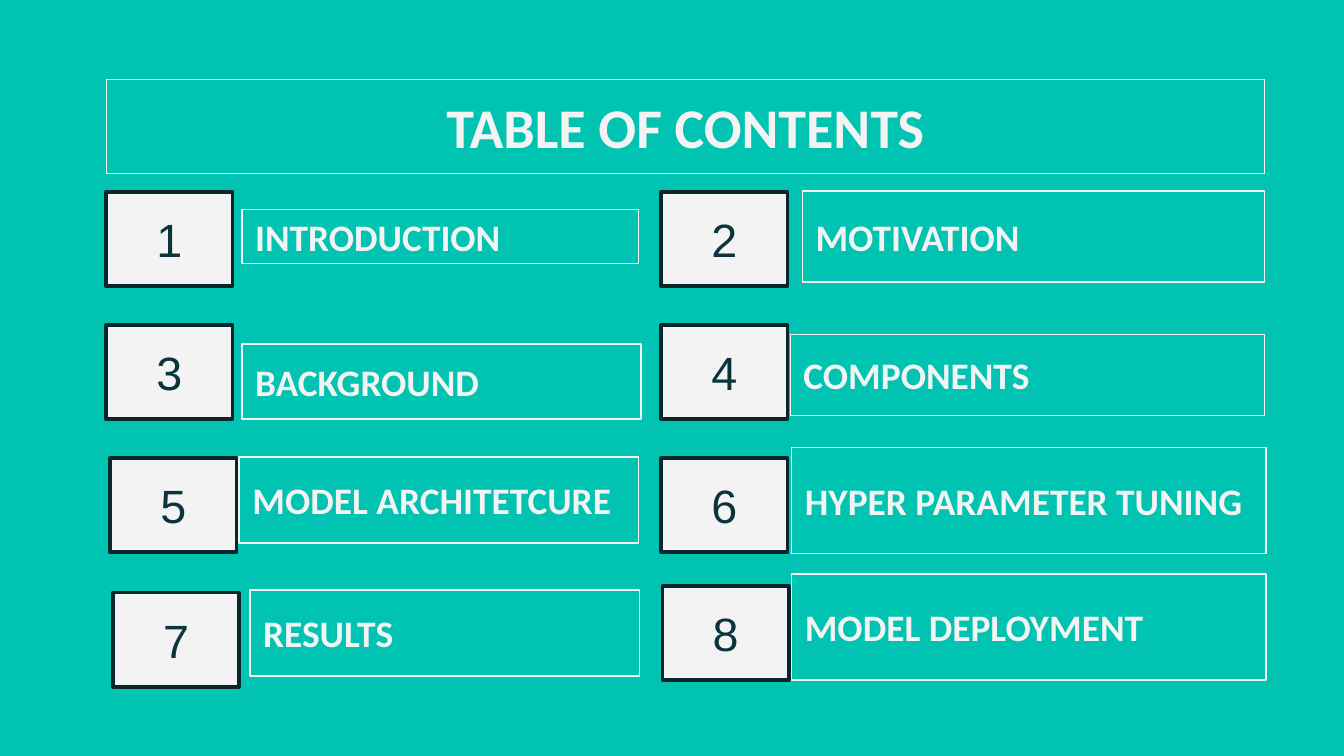
from pptx import Presentation
from pptx import util as u
from pptx.dml import color as c
from pptx.enum import shapes, text

HUES = {"back": "00C3B1", "pale": "F3F3F3", "edge": "09262D", "ink": "0C343D"}
SIZE = (u.Inches(10), u.Inches(10) * 9 // 16)
TILE = (0.94, 0.7)
COLS = (0.79, 4.92)
TOP, STEP = 1.43, 0.99
ITEMS = [
    ("INTRODUCTION", (0, 0), (1.01, 0.13, 2.95, 0.4)),
    ("MOTIVATION", (0, 0), (1.05, -0.01, 3.44, 0.68)),
    ("BACKGROUND", (0, 0), (1.01, 0.14, 2.97, 0.56)),
    ("COMPONENTS", (0, 0), (0.96, 0.07, 3.53, 0.6)),
    ("MODEL ARCHITETCURE", (0.03, 0), (0.99, -0.01, 2.97, 0.64)),
    ("HYPER PARAMETER TUNING", (0, 0), (0.97, -0.08, 3.53, 0.79)),
    ("RESULTS", (0.05, 0.01), (1.07, -0.01, 2.9, 0.64)),
    ("MODEL DEPLOYMENT", (0.01, -0.04), (0.97, -0.13, 3.53, 0.79)),
]


def hue(name):
    return c.RGBColor.from_string(HUES[name])


def add_box(slide, box, edge="pale", width=0.75, fill=None):
    shape = slide.shapes.add_shape(
        shapes.MSO_SHAPE.RECTANGLE, *(u.Inches(v) for v in box))
    shape.shadow.inherit = False
    if fill:
        shape.fill.solid()
        shape.fill.fore_color.rgb = hue(fill)
    else:
        shape.fill.background()
    shape.line.color.rgb = hue(edge)
    shape.line.width = u.Pt(width)
    return shape


def put_text(shape, words, size, font="Calibri", tint="pale", bold=True,
             align=text.PP_ALIGN.LEFT, anchor=text.MSO_ANCHOR.MIDDLE, pad=0.1):
    frame = shape.text_frame
    frame.word_wrap = True
    frame.vertical_anchor = anchor
    frame.margin_left = frame.margin_right = u.Inches(pad)
    frame.margin_top = frame.margin_bottom = u.Inches(pad)
    para = frame.paragraphs[0]
    para.alignment = align
    run = para.add_run()
    run.text = words
    run.font.name = font
    run.font.size = u.Pt(size)
    run.font.bold = bold
    run.font.color.rgb = hue(tint)


def add_title(slide, box):
    put_text(add_box(slide, box), "TABLE OF CONTENTS", 30,
             align=text.PP_ALIGN.CENTER, anchor=text.MSO_ANCHOR.TOP)


def add_entry(slide, left, top, number, words, shift, label):
    dx, dy = shift
    tile = add_box(slide, (left + dx, top + dy, *TILE), "edge", 2, "pale")
    put_text(tile, str(number), 25, font="Arial", tint="ink", bold=False,
             align=text.PP_ALIGN.CENTER, pad=0.05)
    x, y, wide, high = label
    put_text(add_box(slide, (left + x, top + y, wide, high)), words, 20)


def main():
    deck = Presentation()
    deck.slide_width, deck.slide_height = SIZE
    slide = deck.slides.add_slide(deck.slide_layouts[6])
    slide.background.fill.solid()
    slide.background.fill.fore_color.rgb = hue("back")
    add_title(slide, (0.79, 0.59, 8.62, 0.7))
    for i, item in enumerate(ITEMS):
        row, col = divmod(i, 2)
        add_entry(slide, COLS[col], TOP + row * STEP, i + 1, *item)
    deck.save("out.pptx")


if __name__ == "__main__":
    main()
